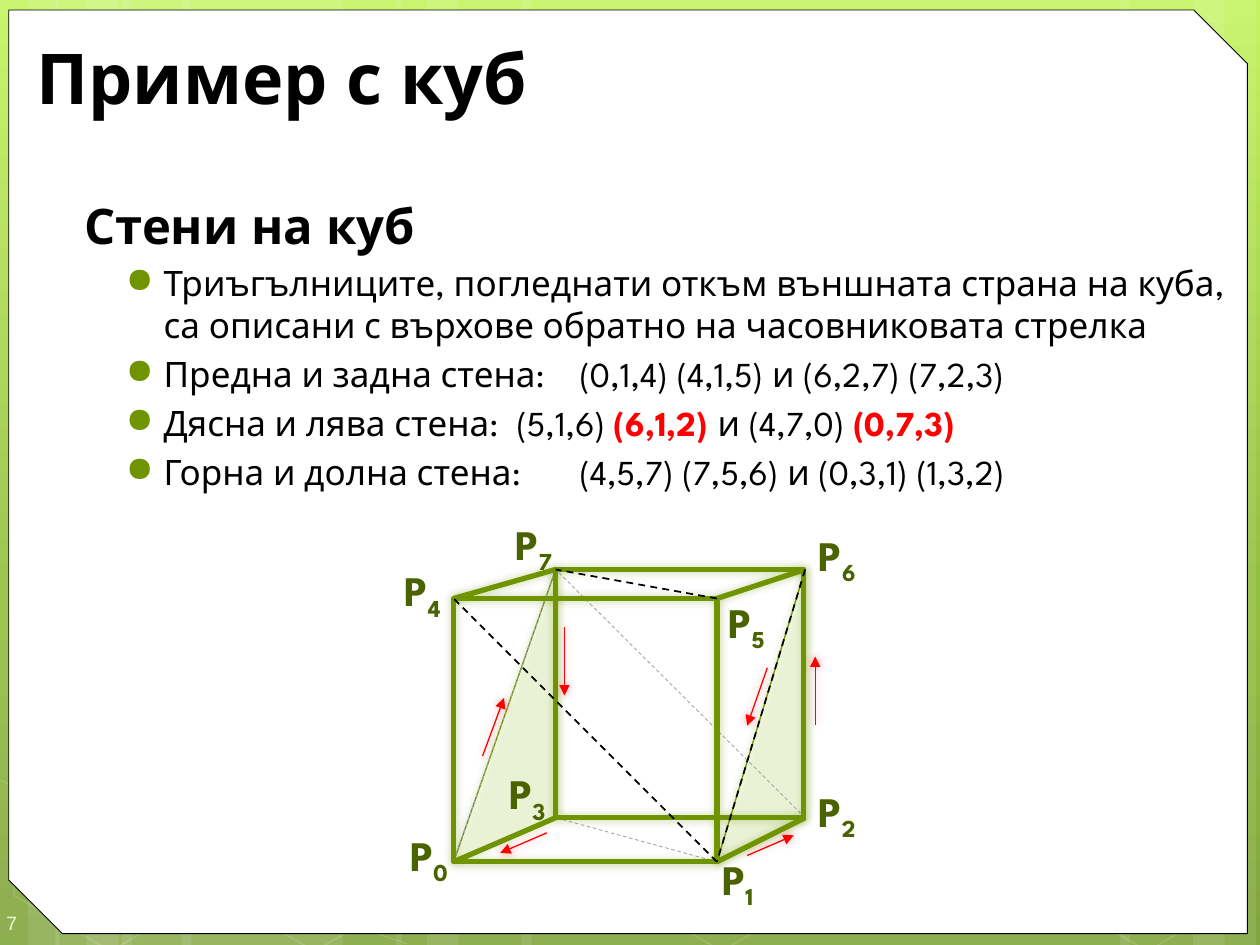
import lxml.etree
import pptx
import pptx.dml.color
import pptx.enum.dml
import pptx.enum.shapes
import pptx.enum.text
import pptx.oxml.ns
import pptx.util

Inches = pptx.util.Inches
Pt = pptx.util.Pt
qn = pptx.oxml.ns.qn
SHAPE = pptx.enum.shapes.MSO_SHAPE
ALIGN = pptx.enum.text.PP_ALIGN
DASH = pptx.enum.dml.MSO_LINE.DASH
FONT = "League Spartan"
GREEN, RED, WHITE, BLACK = "6F9400", "FF0000", "FFFFFF", "000000"


def rgb(color):
    return pptx.dml.color.RGBColor.from_string(color)


def child(parent, tag, **attrs):
    return lxml.etree.SubElement(parent, qn(tag), attrs)


def gradient(fill, owner, stops, angle):
    """Fill with (percent, colour) stops; owner is the element holding the fill."""
    fill.gradient()
    fill.gradient_angle = angle
    gs_list = next(owner.iter(qn("a:gsLst")))
    for gs in list(gs_list):
        gs_list.remove(gs)
    for percent, color in stops:
        gs = child(gs_list, "a:gs", pos=str(percent * 1000))
        child(gs, "a:srgbClr", val=color)


def style(s, fill=None, line=None, weight=1, fill_alpha=100, line_alpha=100,
          dash=None, shadow=None, arrow=False):
    """Set fill, line and shadow of a shape or a connector (which has no fill)."""
    if hasattr(s, "fill"):
        if fill:
            s.fill.solid()
            s.fill.fore_color.rgb = rgb(fill)
        else:
            s.fill.background()
    if line:
        s.line.color.rgb = rgb(line)
        s.line.width = Pt(weight)
        if dash:
            s.line.dash_style = dash
    else:
        s.line.fill.background()
    sp_pr = s._element.spPr
    for place, alpha in (("", fill_alpha), (qn("a:ln") + "/", line_alpha)):
        color = sp_pr.find(place + qn("a:solidFill") + "/" + qn("a:srgbClr"))
        if color is not None and alpha < 100:
            child(color, "a:alpha", val=str(alpha * 1000))
    if arrow:
        child(sp_pr.find(qn("a:ln")), "a:tailEnd", type="triangle")
    effects = child(sp_pr, "a:effectLst")
    if shadow:
        shade = child(effects, "a:outerShdw", blurRad=str(Pt(5)), dist="0", dir="0")
        child(child(shade, "a:srgbClr", val=shadow), "a:alpha", val="40000")


def add_shape(slide, kind, left, top, width, height, **look):
    s = slide.shapes.add_shape(kind, Inches(left), Inches(top), Inches(width), Inches(height))
    style(s, **look)
    return s


def add_line(slide, start, end, **look):
    s = slide.shapes.add_connector(pptx.enum.shapes.MSO_CONNECTOR.STRAIGHT,
                                   *(Inches(v) for v in (*start, *end)))
    style(s, **look)


def add_outline(slide, points, close=True, **look):
    points = [(Inches(x), Inches(y)) for x, y in points]
    builder = slide.shapes.build_freeform(*points[0], scale=1.0)
    builder.add_line_segments(points[1:], close=close)
    style(builder.convert_to_shape(), **look)


def add_text(slide, left, top, width, height, margins=(0.1, 0.05, 0.1, 0.05), middle=True):
    tf = slide.shapes.add_textbox(Inches(left), Inches(top), Inches(width),
                                  Inches(height)).text_frame
    tf.word_wrap = True
    tf.margin_left, tf.margin_top, tf.margin_right, tf.margin_bottom = map(Inches, margins)
    anchor = pptx.enum.text.MSO_ANCHOR
    tf.vertical_anchor = anchor.MIDDLE if middle else anchor.TOP
    return tf


def add_run(p, text, size, color=BLACK, bold=False, font=FONT):
    r = p.add_run()
    r.text = text
    r.font.size, r.font.bold, r.font.name = Pt(size), bold, font
    r.font.color.rgb = rgb(color)
    return r


def add_backdrop(slide, width, height):
    gradient(slide.background.fill, slide.element,
             [(0, "C3F35F"), (62, "93BF3F"), (100, "81A53E")], 270)
    strips = [(0.97, 1.75), (0, 0.47), (0.22, 0.83), (1.44, 1.75), (0.44, 0.5), (0.69, 0.83),
              (7.22, 1.75), (9.47, 0.5), (8.89, 0.83), (4.14, 3.08), (3.14, 0.5), (3.39, 0.83)]
    for left, strip_width in strips:
        add_shape(slide, SHAPE.RECTANGLE, left, 0, strip_width, height,
                  fill=WHITE, fill_alpha=10)
    add_outline(slide, [(0, 6.19), (1.2, 6.72), (2.36, 7.2), (3.23, 7.49)], close=False,
                line=WHITE, weight=0.5, line_alpha=20)
    for left in (0, 1.62, 4.85, 8.23):
        s = add_shape(slide, SHAPE.HEXAGON, left, 5.91, 1.75, 1.52, line=WHITE, line_alpha=12)
        s.adjustments[0] = 0.285
        s.rotation = 30
    panel = add_shape(slide, SHAPE.SNIP_2_DIAG_RECTANGLE, 0.07, 0.08, width - 0.17,
                      height - 0.17, fill=WHITE, line=BLACK, weight=0.5)
    panel.adjustments[0], panel.adjustments[1] = 0, 0.058


def add_page_number(slide, left, top, width, height):
    p = add_text(slide, left, top, width, height, (0.05, 0.15, 0, 0.1)).paragraphs[0]
    r = add_run(p, "7", 11, font="Arial")
    gradient(r.font.fill, r._r, [(0, "E5FFBE"), (50, "EEFFD6"), (100, "F6FFEA")], 90)


def add_title(slide, left, top, width, height):
    p = add_text(slide, left, top, width, height).paragraphs[0]
    add_run(p, "Пример с куб", 40, bold=True)


def add_body(slide, left, top, width, height):
    tf = add_text(slide, left, top, width, height, middle=False)
    p = tf.paragraphs[0]
    p._p.get_or_add_pPr().set("marL", str(Inches(0.07)))
    add_run(p, "Стени на куб", 28, bold=True)
    # Every second run of an item is highlighted.
    items = [
        ["Триъгълниците, погледнати откъм външната страна на куба, "
         "са описани с върхове обратно на часовниковата стрелка"],
        ["Предна и задна стена:\t(0,1,4) (4,1,5) и (6,2,7) (7,2,3)"],
        ["Дясна и лява стена:\t(5,1,6) ", "(6,1,2) ", "и (4,7,0) ", "(0,7,3)"],
        ["Горна и долна стена:\t(4,5,7) (7,5,6) и (0,3,1) (1,3,2)"],
    ]
    for item in items:
        p = tf.add_paragraph()
        p.space_before = Pt(4)
        p_pr = p._p.get_or_add_pPr()
        p_pr.set("marL", str(Inches(0.7)))
        p_pr.set("indent", str(Inches(-0.3)))
        child(child(p_pr, "a:buClr"), "a:srgbClr", val=GREEN)
        child(p_pr, "a:buChar", char="●")
        child(child(p_pr, "a:tabLst"), "a:tab", pos=str(Inches(3.13)), algn="l")
        for i, text in enumerate(item):
            marked = i % 2 == 1
            add_run(p, text, 20, RED if marked else BLACK, marked)


def add_cube(slide, left, top):
    def at(x, y):
        return left + x, top + y

    corners = [at(*c) for c in [(0.47, 2.7), (2.56, 2.7), (3.26, 2.35), (1.28, 2.35),
                                (0.47, 0.61), (2.56, 0.61), (3.26, 0.38), (1.28, 0.38)]]

    def edges(pairs, **look):
        for a, b in pairs:
            add_line(slide, corners[a], corners[b], **look)

    def face(top_left, side):
        add_shape(slide, SHAPE.RECTANGLE, *corners[top_left], side, side,
                  line=GREEN, weight=3, shadow=GREEN)

    for triangle in ((7, 3, 0), (6, 2, 1)):
        add_outline(slide, [corners[i] for i in triangle], fill="F4FCE4", fill_alpha=60,
                    line="6D9200", weight=0.75, shadow=GREEN)
    edges([(2, 7), (1, 3), (7, 0)], line="A6A6A6", weight=0.5, dash=DASH)
    face(7, 1.97)
    edges([(4, 7), (1, 2), (5, 6)], line=GREEN, weight=3, shadow=GREEN)
    edges([(0, 3)], line=GREEN, weight=3)
    face(4, 2.09)
    edges([(1, 4), (5, 7), (6, 1)], line=BLACK, weight=1, dash=DASH)

    labels = [(0.05, 2.47), (2.5, 2.66), (3.29, 2.12), (0.83, 1.98),
              (0, 0.37), (2.57, 0.62), (3.29, 0.09), (0.88, 0)]
    for i, place in enumerate(labels):
        p = add_text(slide, *at(*place), 0.45, 0.4, (0, 0.05, 0, 0.05)).paragraphs[0]
        p.alignment = ALIGN.CENTER
        add_run(p, "P", 24, "4A6300", True)
        r = add_run(p, str(i), 24, "4A6300", True)
        r._r.get_or_add_rPr().set("baseline", "-25000")

    arrows = [((1.35, 0.84), (1.35, 1.38)), ((0.7, 1.86), (0.87, 1.4)),
              ((1.21, 2.47), (0.84, 2.63)), ((3.34, 1.61), (3.34, 1.07)),
              ((2.96, 1.16), (2.8, 1.62)), ((2.8, 2.65), (3.17, 2.49))]
    for start, end in arrows:
        add_line(slide, at(*start), at(*end), line=RED, weight=0.75, arrow=True, shadow=RED)


def main():
    prs = pptx.Presentation()
    prs.slide_width, prs.slide_height = Inches(10), Inches(7.5)
    slide = prs.slides.add_slide(prs.slide_layouts[6])
    add_backdrop(slide, 10, 7.5)
    add_page_number(slide, 0, 7.1, 0.58, 0.4)
    add_title(slide, 0.19, 0.25, 9.47, 0.71)
    add_body(slide, 0.5, 1.5, 9.42, 5.92)
    add_cube(slide, 3.13, 4.14)
    prs.save("out.pptx")


if __name__ == "__main__":
    main()
